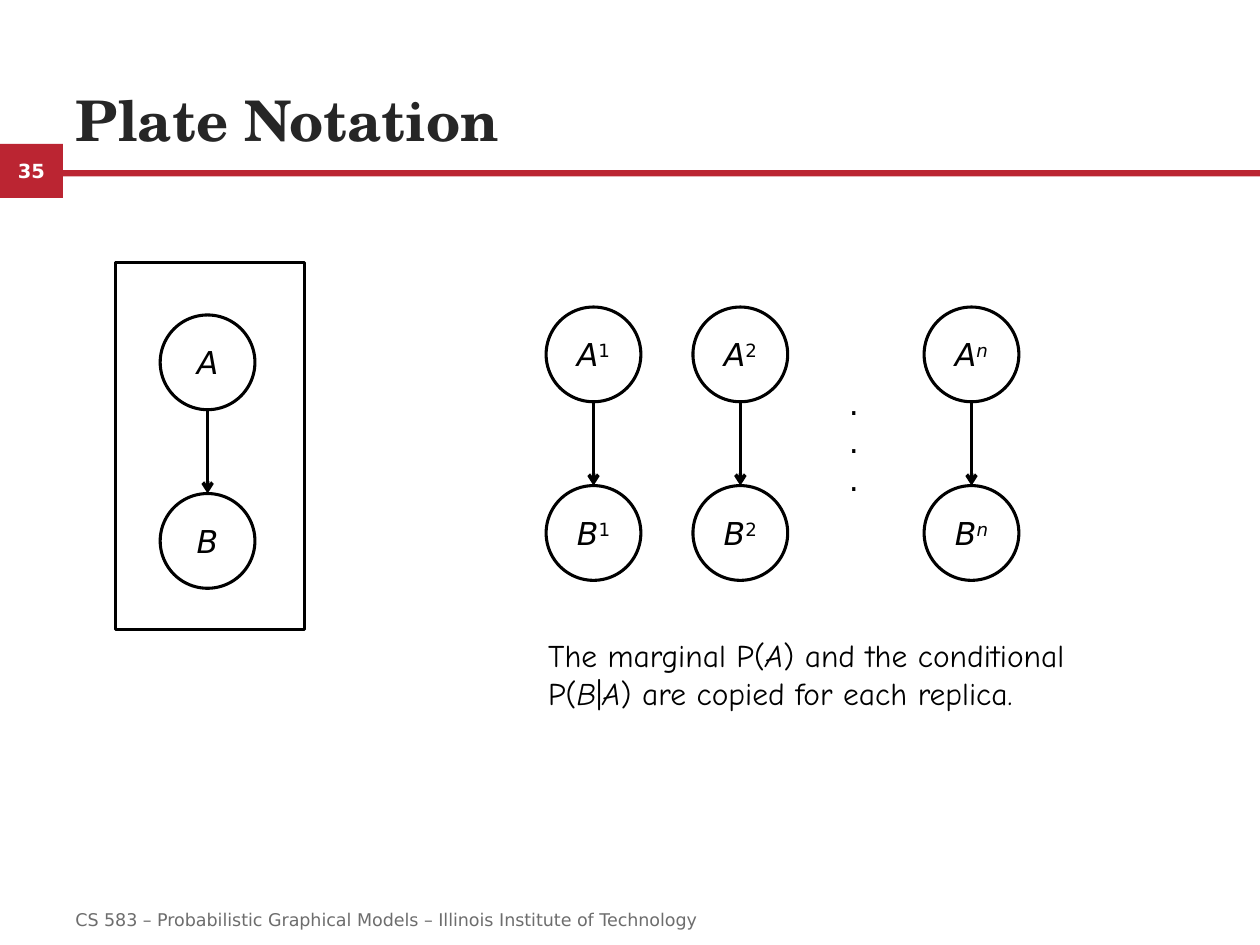
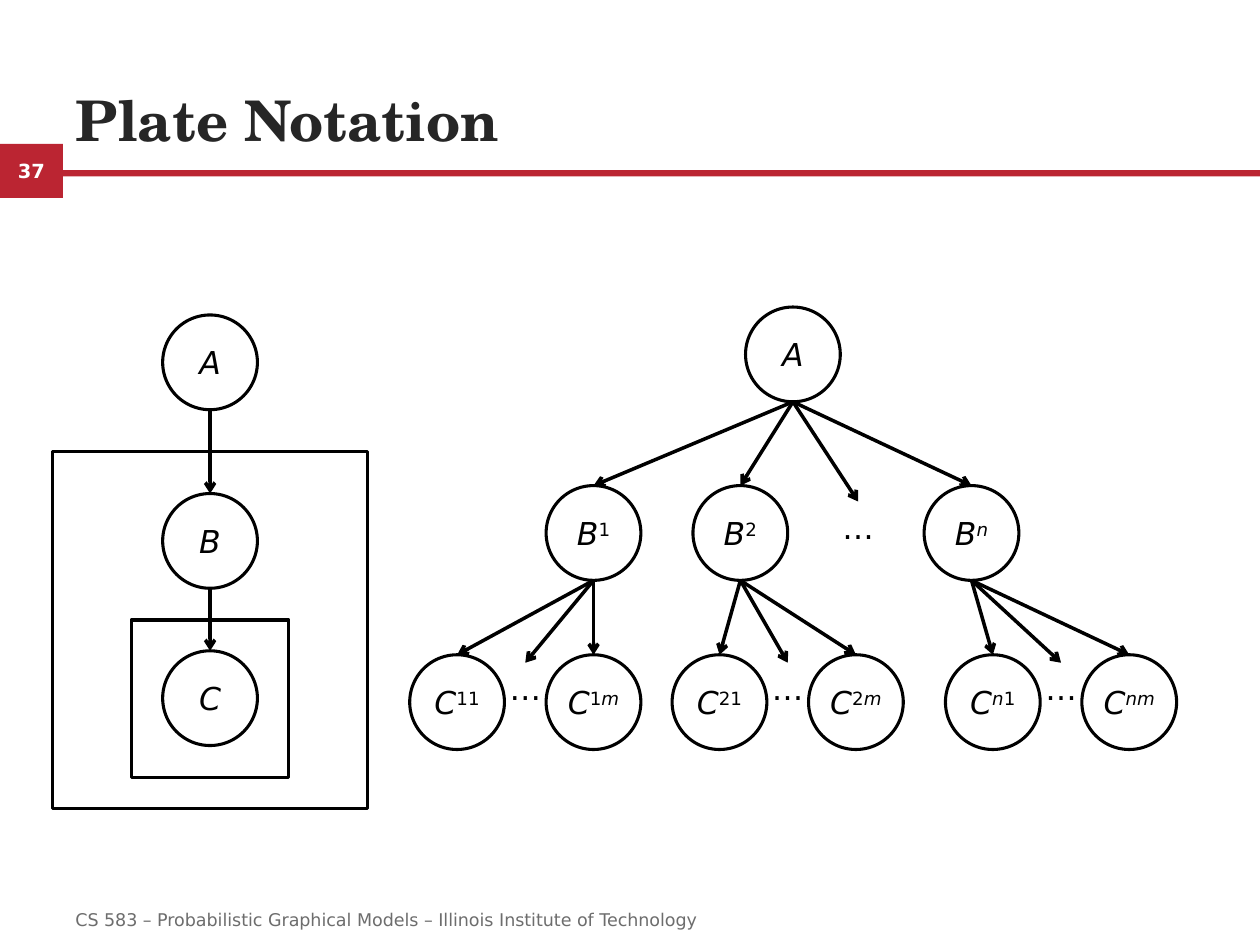
from itertools import groupby

from lxml.etree import SubElement
from pptx import Presentation
from pptx.dml.color import RGBColor
from pptx.enum.shapes import MSO_CONNECTOR as CONN, MSO_SHAPE as SHAPE
from pptx.enum.text import MSO_ANCHOR as ANCHOR, MSO_AUTO_SIZE as AUTO, PP_ALIGN as ALIGN
from pptx.oxml.ns import qn
from pptx.util import Cm, Pt

RED = RGBColor(0xBB, 0x25, 0x32)
BLACK = RGBColor(0, 0, 0)
WHITE = RGBColor(0xFF, 0xFF, 0xFF)
DARK = RGBColor(0x26, 0x26, 0x26)
GRAY = RGBColor(0x6D, 0x6D, 0x6D)

SANS = "DejaVu Sans"
SERIF = "TeX Gyre Schola"
COMIC = "Comic Neue"

TITLE = "Plate Notation"
FOOTER = "CS 583 – Probabilistic Graphical Models – Illinois Institute of Technology"

NODE = 1.91
ROW = 3.6
DOTS_W, DOTS_H = 1.14, 1.02


def format_run(r, size, color=BLACK, name=SANS, bold=False, italic=False):
    f = r.font
    f.size, f.name, f.bold, f.italic = Pt(size), name, bold, italic
    f.color.rgb = color


def format_text(tf, size, color=BLACK, name=SANS, bold=False,
                align=ALIGN.LEFT, anchor=ANCHOR.TOP):
    tf.word_wrap = True
    tf.vertical_anchor = anchor
    for p in tf.paragraphs:
        p.alignment = align
        for r in p.runs:
            format_run(r, size, color, name, bold)


def clear_margins(tf):
    tf.margin_left = tf.margin_right = 0


def add_box(slide, kind, x, y, w, h, fill=None):
    sp = slide.shapes.add_shape(kind, Cm(x), Cm(y), Cm(w), Cm(h))
    sp.shadow.inherit = False
    if fill is None:
        sp.fill.background()
        sp.line.color.rgb = BLACK
        sp.line.width = Pt(1.75)
    else:
        sp.fill.solid()
        sp.fill.fore_color.rgb = fill
        sp.line.fill.background()
    return sp


def add_text(slide, x, y, w, h, text=""):
    sp = slide.shapes.add_textbox(Cm(x), Cm(y), Cm(w), Cm(h))
    sp.text_frame.word_wrap = True
    sp.text_frame.text = text
    return sp


def add_node(slide, x, y, letter, index=""):
    sp = add_box(slide, SHAPE.OVAL, x, y, NODE, NODE)
    tf = sp.text_frame
    clear_margins(tf)
    tf.word_wrap = False
    tf.vertical_anchor = ANCHOR.MIDDLE
    p = tf.paragraphs[0]
    p.alignment = ALIGN.CENTER
    r = p.add_run()
    r.text = letter
    format_run(r, 18, italic=True)
    for is_variable, chars in groupby(index, str.isalpha):
        r = p.add_run()
        r.text = "".join(chars)
        format_run(r, 18, italic=is_variable)
        r.font._element.set("baseline", "30000")
    return sp


def add_dots(slide, center, y):
    sp = add_text(slide, center - DOTS_W / 2, y, DOTS_W, DOTS_H, "…")
    clear_margins(sp.text_frame)
    format_text(sp.text_frame, 18, align=ALIGN.CENTER)
    return sp


def add_arrow(slide, parent, child):
    x, y = parent.left + parent.width // 2, parent.top + parent.height
    cn = slide.shapes.add_connector(CONN.STRAIGHT, x, y, x, y)
    cn.end_connect(child, 0)
    cn.line.color.rgb = BLACK
    cn.line.width = Pt(2)
    SubElement(cn.line._get_or_add_ln(), qn("a:tailEnd"), type="arrow")
    SubElement(cn._element.spPr, qn("a:effectLst"))


def add_chain(slide, x, y, letters, index="", rows=(0, ROW)):
    nodes = [add_node(slide, x, y + dy, letter, index) for letter, dy in zip(letters, rows)]
    for parent, child in zip(nodes, nodes[1:]):
        add_arrow(slide, parent, child)


def add_frame(prs, number):
    slide = prs.slides.add_slide(prs.slide_layouts[5])
    title = slide.shapes.title
    title.left, title.top, title.width, title.height = Cm(1.27), Cm(0.97), Cm(22.86), Cm(2.23)
    title.text_frame.text = TITLE
    title.text_frame.auto_size = AUTO.NONE
    format_text(title.text_frame, 32, DARK, SERIF, True, anchor=ANCHOR.BOTTOM)

    badge = add_box(slide, SHAPE.RECTANGLE, 0, 2.9, 1.27, 1.09, RED)
    badge.text_frame.text = str(number)
    clear_margins(badge.text_frame)
    format_text(badge.text_frame, 11.1, WHITE, bold=True,
                align=ALIGN.CENTER, anchor=ANCHOR.MIDDLE)
    add_box(slide, SHAPE.RECTANGLE, 1.27, 3.43, 24.13, 0.13, RED)

    footer = add_text(slide, 1.27, 18.03, 20.75, 1.02, FOOTER)
    format_text(footer.text_frame, 10, GRAY, anchor=ANCHOR.MIDDLE)
    return slide


def add_single_plate(slide, x, y, w, h):
    add_box(slide, SHAPE.RECTANGLE, x, y, w, h)
    add_chain(slide, x + 0.9, y + 1.06, "AB")


def add_replicas(slide, x, y):
    for index, dx in (("1", 0), ("2", 2.96), ("n", 7.62)):
        add_chain(slide, x + dx, y, "AB", index)
    dots = add_text(slide, x + 5.86, y + 1.43, 0.69, 2.57, ".\n.\n.")
    clear_margins(dots.text_frame)
    format_text(dots.text_frame, 18, align=ALIGN.CENTER)


def add_note(slide, x, y, w, h):
    p = add_text(slide, x, y, w, h).text_frame.paragraphs[0]
    parts = ("The marginal P(", "A", ") and the conditional P(", "B", "|", "A",
             ") are copied for each replica.")
    for text in parts:
        r = p.add_run()
        r.text = text
        format_run(r, 18, name=COMIC, italic=text.isalpha())


def add_nested_plates(slide, x, y, w, h):
    inner = 3.18
    add_box(slide, SHAPE.RECTANGLE, x, y, w, h)
    add_box(slide, SHAPE.RECTANGLE, x + (w - inner) / 2, y + 3.4, inner, inner)
    add_chain(slide, x + (w - NODE) / 2, y - 2.75, "ABC", rows=(0, ROW, 6.77))


def add_family(slide, parent, x, y, index):
    pair = 2.75
    first = add_node(slide, x, y, "C", index + "1")
    last = add_node(slide, x + pair, y, "C", index + "m")
    dots = add_dots(slide, x + (pair + NODE) / 2, y + 0.16)
    for child in (first, dots, last):
        add_arrow(slide, parent, child)


def add_tree(slide, x, y):
    root = add_node(slide, x + 6.77, y, "A")
    branches = (("1", 2.75, 0), ("2", 5.71, 5.29), ("n", 10.37, 10.8))
    for index, dx, family_dx in branches:
        node = add_node(slide, x + dx, y + ROW, "B", index)
        add_arrow(slide, root, node)
        add_family(slide, node, x + family_dx, y + 7.01, index)
    add_arrow(slide, root, add_dots(slide, x + 9.04, y + ROW + 0.32))


def build_replica_slide(prs):
    slide = add_frame(prs, 35)
    add_single_plate(slide, 2.33, 5.29, 3.81, 7.41)
    add_replicas(slide, 11.01, 6.19)
    add_note(slide, 10.8, 12.7, 12.07, 1.8)


def build_nested_slide(prs):
    slide = add_frame(prs, 37)
    add_nested_plates(slide, 1.06, 9.1, 6.35, 7.2)
    add_tree(slide, 8.26, 6.19)


def main():
    prs = Presentation()
    prs.slide_width, prs.slide_height = Cm(25.4), Cm(19.05)
    build_replica_slide(prs)
    build_nested_slide(prs)
    prs.save("out.pptx")


if __name__ == "__main__":
    main()
